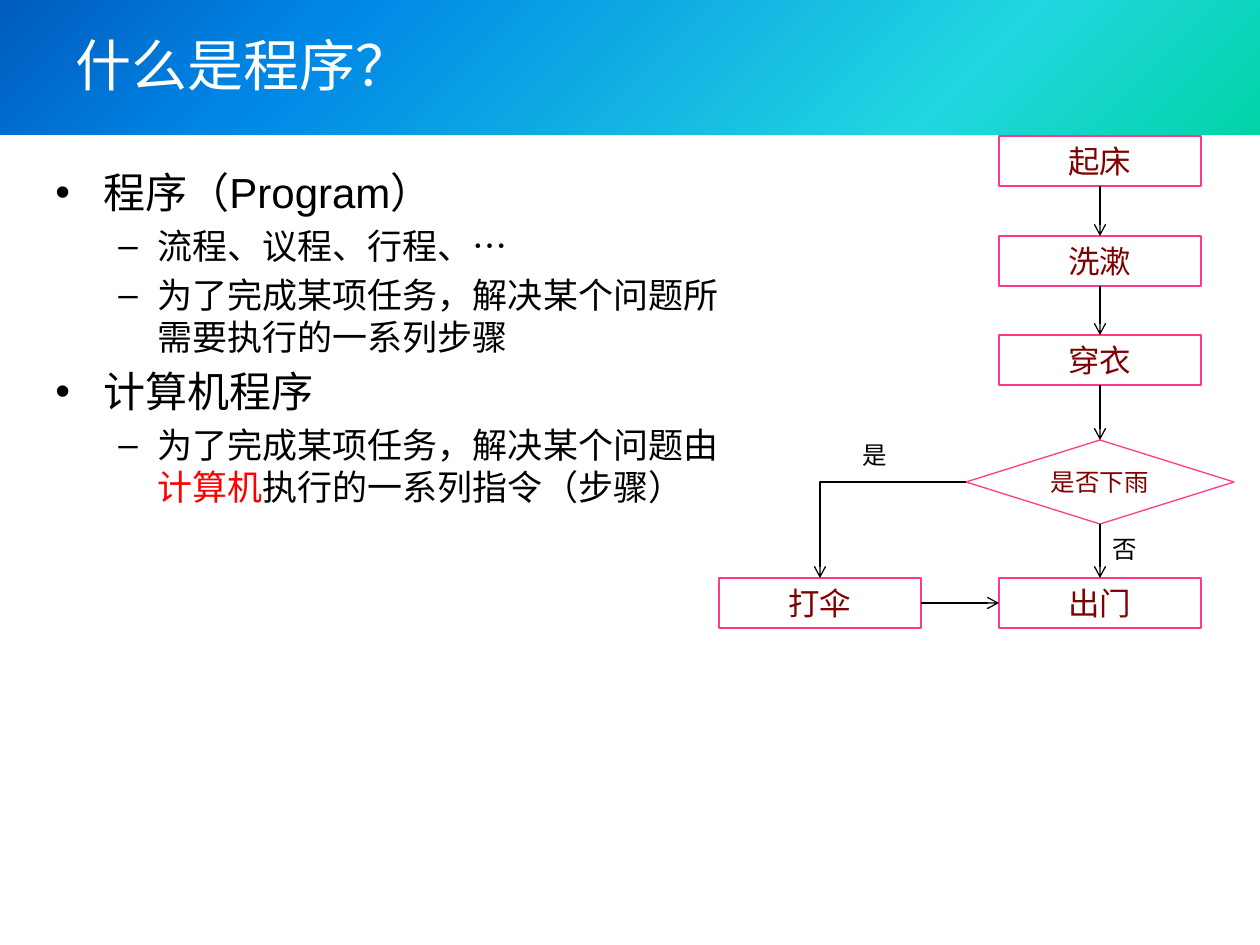
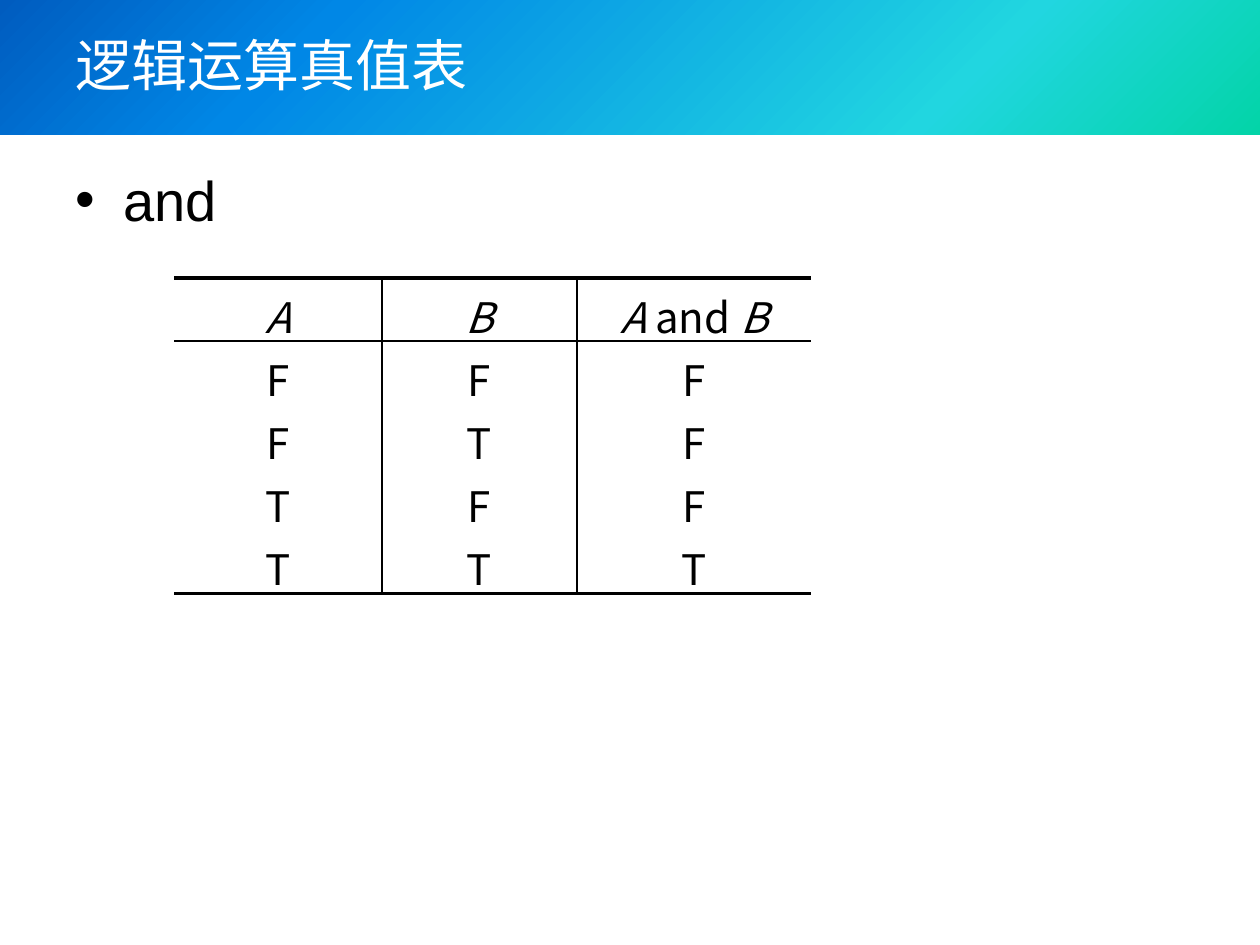
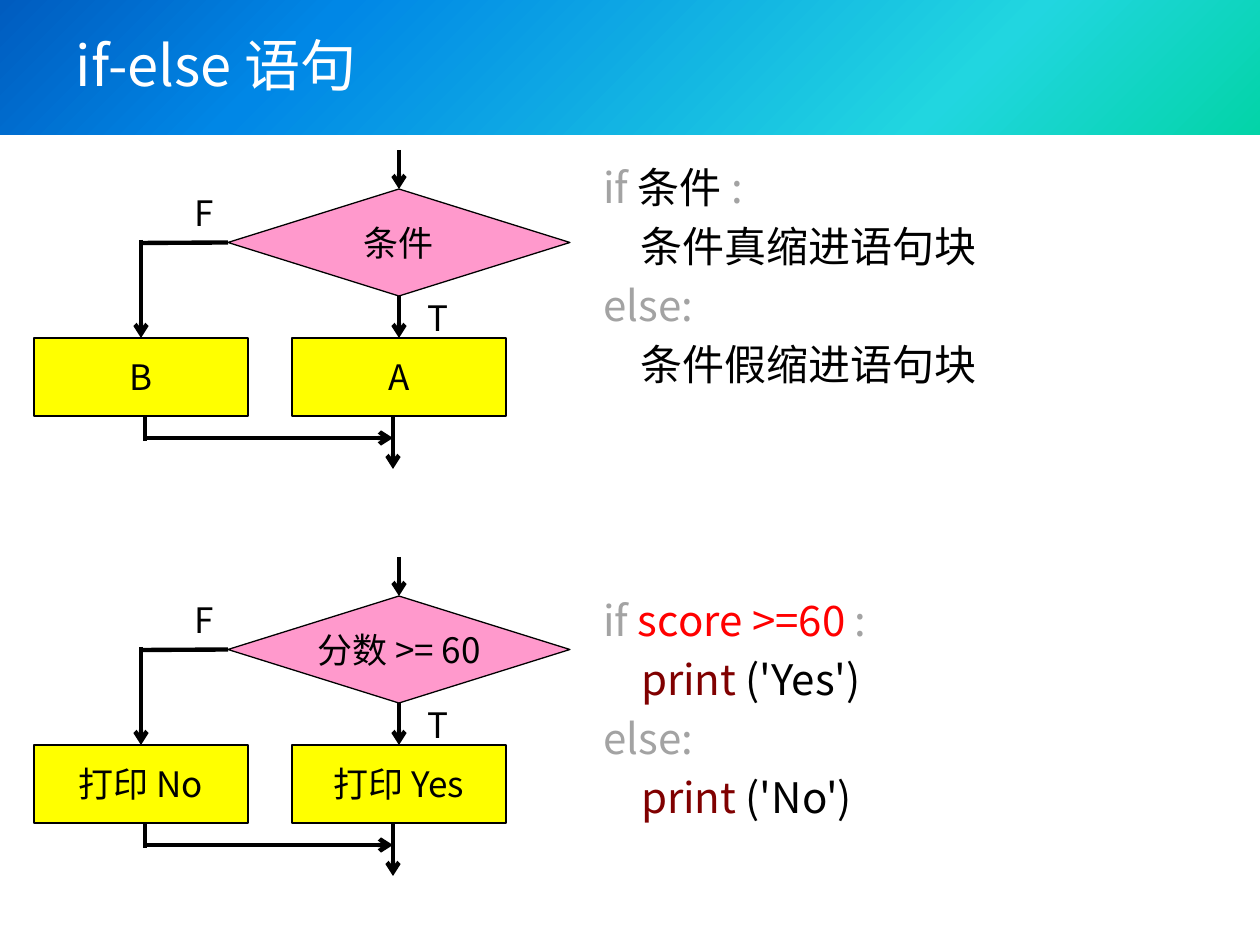
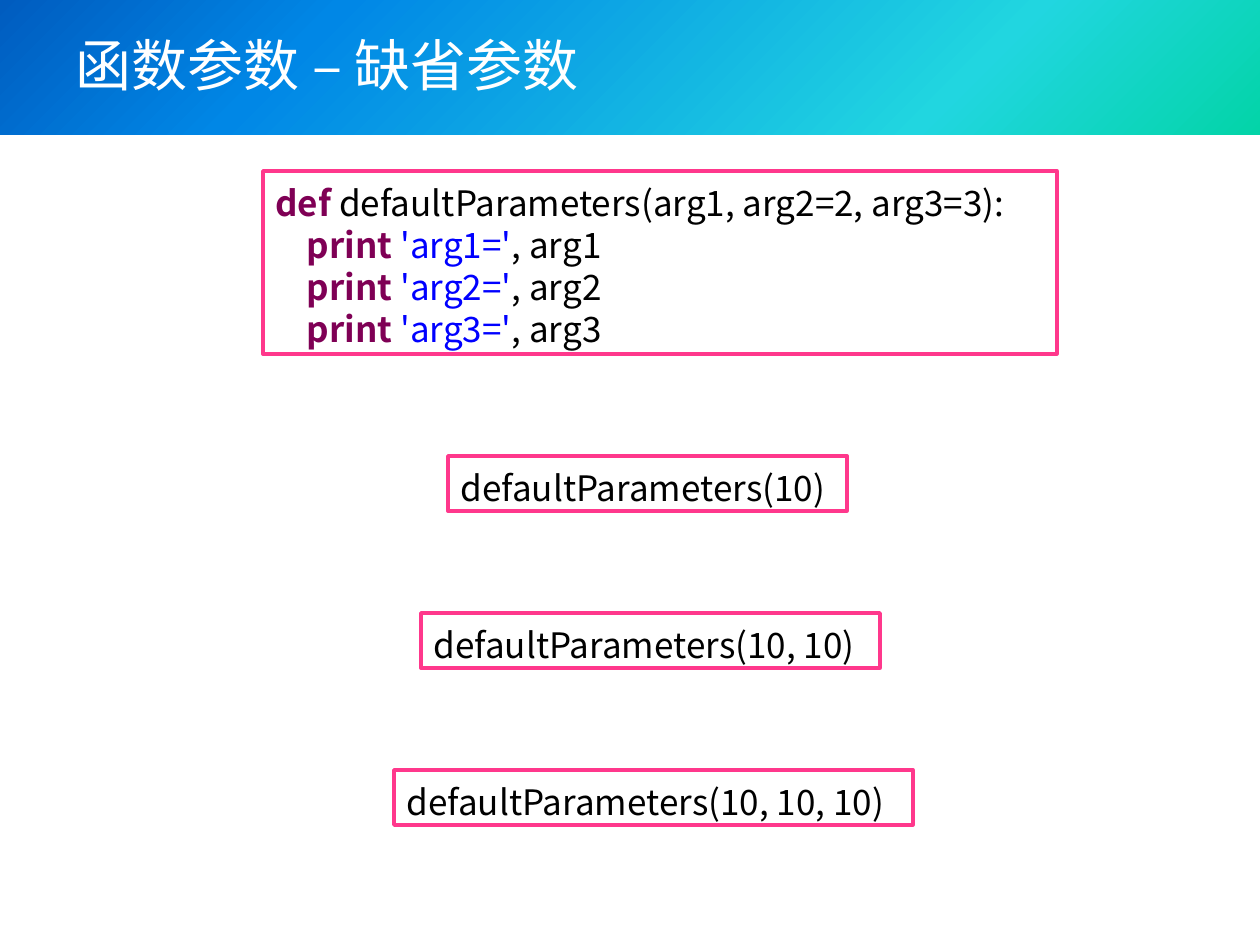
from lxml import etree
from pptx import Presentation
from pptx import oxml
from pptx import util as u
from pptx.dml.color import RGBColor
from pptx.enum import shapes, text
from pptx.oxml import ns

EMU_PER_PX = 914400 / 126
SANS, ARIAL = "Noto Sans CJK SC", "Arial"
COLOURS = {
    "black": "000000", "white": "FFFFFF", "red": "FF0000", "maroon": "800000",
    "grey": "A3A3A3", "pink": "FF388C", "rose": "FF99CC", "yellow": "FFFF00",
    "keyword": "7F0055", "string": "0000FF",
}
BAND_STOPS = [(0, "03D4A8"), (25, "21D6E0"), (75, "0087E6"), (100, "005CBF")]
BULLETS = [{"sign": "•", "margin": 48, "hang": 48},
           {"sign": "–", "margin": 102, "hang": 39}]
CENTER, LEFT = text.PP_ALIGN.CENTER, text.PP_ALIGN.LEFT
MIDDLE, TOP = text.MSO_ANCHOR.MIDDLE, text.MSO_ANCHOR.TOP
RECT, DIAMOND = shapes.MSO_SHAPE.RECTANGLE, shapes.MSO_SHAPE.DIAMOND
DECISION = shapes.MSO_SHAPE.FLOWCHART_DECISION
STRAIGHT, ELBOW = shapes.MSO_CONNECTOR.STRAIGHT, shapes.MSO_CONNECTOR.ELBOW
SIDE_TOP, SIDE_LEFT, SIDE_BOTTOM, SIDE_RIGHT = range(4)


# ---- shared helpers ----
def px(length):
    return u.Emu(round(length * EMU_PER_PX))


def pxs(*lengths):
    return [px(length) for length in lengths]


def rgb(name):
    return RGBColor.from_string(COLOURS[name])


def apply(target, **values):
    for name, value in values.items():
        setattr(target, name, value)


def add_run(paragraph, words, size, colour="black", latin=SANS, **style):
    run = paragraph.add_run()
    run.text = words
    apply(run.font, size=u.Pt(size), name=latin, **style)
    run.font.color.rgb = rgb(colour)
    etree.SubElement(run.font._element, ns.qn("a:ea"), typeface=SANS)


def add_bullet(paragraph, level):
    bullet = BULLETS[level]
    props = paragraph._p.get_or_add_pPr()
    props.set("marL", str(px(bullet["margin"])))
    props.set("indent", str(px(-bullet["hang"])))
    etree.SubElement(props, ns.qn("a:buFont"), typeface=ARIAL)
    etree.SubElement(props, ns.qn("a:buChar"), char=bullet["sign"])


def fill_lines(frame, lines, size, gap=0.0, latin=SANS):
    """Top-anchored lines; each is a list of (words, colour, bold) runs."""
    apply(frame, word_wrap=True, vertical_anchor=TOP, margin_top=px(10))
    for index, runs in enumerate(lines):
        line = frame.add_paragraph() if index else frame.paragraphs[0]
        apply(line, alignment=LEFT, line_spacing=u.Pt(size * 1.2))
        if index and gap:
            line.space_before = u.Pt(size * gap)
        for words, colour, *bold in runs:
            add_run(line, words, size, colour, latin, bold=bool(bold))


def fill_label(frame, words, size, colour="black", wrap=False):
    apply(frame, word_wrap=wrap, vertical_anchor=MIDDLE)
    frame.paragraphs[0].alignment = CENTER
    add_run(frame.paragraphs[0], words, size, colour)


def add_outline(parent, kind, box, line, width, fill=None):
    node = parent.add_shape(kind, *pxs(*box))
    node.shadow.inherit = False
    if fill:
        node.fill.solid()
        node.fill.fore_color.rgb = rgb(fill)
    else:
        node.fill.background()
    node.line.color.rgb = rgb(line)
    node.line.width = u.Pt(width)
    return node


def add_line(parent, start, end, width, arrow=True, kind=STRAIGHT, begin=None, finish=None):
    """begin and finish are (shape, side) joints."""
    link = parent.add_connector(kind, *pxs(*start, *end))
    if begin:
        link.begin_connect(*begin)
    if finish:
        link.end_connect(*finish)
    link.line.color.rgb = rgb("black")
    link.line.width = u.Pt(width)
    props = link.element.spPr
    if kind == ELBOW:
        props.find(ns.qn("a:prstGeom")).set("prst", "bentConnector2")
    if arrow:
        etree.SubElement(props.find(ns.qn("a:ln")), ns.qn("a:tailEnd"), type="arrow")
    etree.SubElement(props, ns.qn("a:effectLst"))


def add_band(layout, slide):
    """Draw the title band and hand it to the shared layout."""
    band = slide.shapes.add_shape(RECT, *pxs(0, 0, 1260, 135))
    band.shadow.inherit = False
    band.line.fill.background()
    stops = "".join(f'<a:gs pos="{place * 1000}"><a:srgbClr val="{colour}"/></a:gs>'
                    for place, colour in BAND_STOPS)
    gradient = oxml.parse_xml(
        f'<a:gradFill {ns.nsdecls("a")} rotWithShape="1"><a:gsLst>{stops}</a:gsLst>'
        '<a:path path="circle"><a:fillToRect l="100000" t="100000"/></a:path></a:gradFill>')
    band.element.spPr.find(ns.qn("a:prstGeom")).addnext(gradient)
    layout.shapes.element.insert(2, band.element)


def add_slide(prs, heading):
    layout = prs.slide_layouts[5]
    slide = prs.slides.add_slide(layout)
    if len(prs.slides) == 1:
        add_band(layout, slide)
    title = slide.shapes.title
    left, top, width, height = pxs(63, 16, 1134, 97)
    apply(title, left=left, top=top, width=width, height=height)
    apply(title.text_frame, vertical_anchor=MIDDLE, word_wrap=True,
          auto_size=text.MSO_AUTO_SIZE.NONE)
    title.text_frame.paragraphs[0].alignment = LEFT
    add_run(title.text_frame.paragraphs[0], heading, 32, "white")
    return slide


def add_bullets(slide, box, items):
    """items are (level, size, runs)."""
    frame = slide.shapes.add_textbox(*pxs(*box)).text_frame
    apply(frame, word_wrap=True, margin_top=px(10))
    for index, (level, size, runs) in enumerate(items):
        item = frame.add_paragraph() if index else frame.paragraphs[0]
        item.line_spacing = u.Pt(size * 1.2)
        if index:
            item.space_before = u.Pt(size * 0.2)
        add_bullet(item, level)
        for words, colour in runs:
            add_run(item, words, size, colour, ARIAL)


def add_code(slide, box, lines):
    fill_lines(slide.shapes.add_textbox(*pxs(*box)).text_frame, lines, 24, 0.2)


# ---- slide 1: what a program is ----
def add_morning_flow(slide, left, top):
    parent = slide.shapes
    width, height, axis = 202, 50, 381

    def step(words, x, y):
        node = add_outline(parent, RECT, (left + x, top + y, width, height), "pink", 0.75)
        fill_label(node.text_frame, words, 18, "maroon", wrap=True)
        return node

    def join(begin, finish, kind=STRAIGHT, start=(0, 0), end=(0, 0)):
        add_line(parent, start, end, 0.75, kind=kind, begin=begin, finish=finish)

    column = axis - width // 2
    get_up, wash, dress = [step(words, column, round(row * 99.5))
                           for row, words in enumerate(["起床", "洗漱", "穿衣"])]
    go_out, umbrella = step("出门", column, 442), step("打伞", 0, 442)
    rain = add_outline(parent, DIAMOND, (left + axis - 134, top + 304, 268, 84), "pink", 0.75)
    fill_label(rain.text_frame, "是否下雨", 14, "maroon", wrap=True)

    for upper, lower in [(get_up, wash), (wash, dress), (dress, rain), (rain, go_out)]:
        join((upper, SIDE_BOTTOM), (lower, SIDE_TOP))
    join((umbrella, SIDE_RIGHT), (go_out, SIDE_LEFT))
    join((rain, SIDE_LEFT), (umbrella, SIDE_TOP), ELBOW,
         (left + axis - 134, top + 346), (left + width // 2, top + 442))

    for answer, x, y in [("是", 131, 294), ("否", axis, 388)]:
        label = parent.add_textbox(*pxs(left + x, top + y, 50, 43))
        fill_lines(label.text_frame, [[(answer, "black")]], 14)


def build_program(prs):
    slide = add_slide(prs, "什么是程序？")
    add_bullets(slide, (43, 157, 697, 683), [
        (0, 24, [("程序（Program）", "black")]),
        (1, 20, [("流程、议程、行程、…", "black")]),
        (1, 20, [("为了完成某项任务，解决某个问题所需要执行的一系列步骤", "black")]),
        (0, 24, [("计算机程序", "black")]),
        (1, 20, [("为了完成某项任务，解决某个问题由", "black"), ("计算机", "red"),
                 ("执行的一系列指令（步骤）", "black")]),
    ])
    add_morning_flow(slide, 719, 136)


# ---- slide 2: truth table ----
def set_borders(cell, **widths):
    props = cell._tc.get_or_add_tcPr()
    for side in "LRTB":
        width = widths.get(side, 0)
        edge = etree.SubElement(props, ns.qn(f"a:ln{side}"), w=str(u.Pt(width)))
        if width:
            paint = etree.SubElement(edge, ns.qn("a:solidFill"))
            etree.SubElement(paint, ns.qn("a:srgbClr"), val=COLOURS["black"])
        else:
            etree.SubElement(edge, ns.qn("a:noFill"))


def add_truth_table(slide, left, top):
    heads = [[("A", True)], [("B", True)], [("A ", True), ("and ", False), ("B", True)]]
    rows = [heads] + [[[(value, False)] for value in values]
                      for values in ("FFF", "FTF", "TFF", "TTT")]
    widths, row_height = [208, 195, 234], 63
    table = slide.shapes.add_table(len(rows), len(widths), *pxs(
        left, top, sum(widths), row_height * len(rows))).table
    apply(table, first_row=False, horz_banding=False)
    for column, width in zip(table.columns, widths):
        column.width = px(width)
    last_row, last_column = len(rows) - 1, len(widths) - 1
    for r, row in enumerate(rows):
        for c, runs in enumerate(row):
            cell = table.cell(r, c)
            paragraph = cell.text_frame.paragraphs[0]
            paragraph.alignment = CENTER
            for words, italic in runs:
                add_run(paragraph, words, 24, italic=italic, bold=False)
            set_borders(cell, L=int(c > 0), R=int(c < last_column),
                        T={0: 2.25, 1: 1}.get(r, 0), B={0: 1, last_row: 2.25}.get(r, 0))
            cell.fill.background()


def build_truth_table(prs):
    slide = add_slide(prs, "逻辑运算真值表")
    add_bullets(slide, (63, 155, 1134, 689), [(0, 32, [("and", "black")])])
    add_truth_table(slide, 174, 278)


# ---- slide 3: if-else ----
def add_branch_flow(slide, left, top, condition, true_step, false_step):
    parent = slide.shapes.add_group_shape().shapes
    axis, side_axis, exit_x, merge_y = 365, 107, 359, 288

    def node(kind, words, fill, x, y, width, height):
        shape = add_outline(parent, kind, (left + x, top + y, width, height),
                            "black", 0.75, fill)
        fill_label(shape.text_frame, words, 20)
        return shape

    def line(start, end, **options):
        add_line(parent, (left + start[0], top + start[1]),
                 (left + end[0], top + end[1]), 2.5, **options)

    test = node(DECISION, condition, "rose", 194, 39, 342, 107)
    yes = node(RECT, true_step, "yellow", 258, 188, 214, 78)
    no = node(RECT, false_step, "yellow", 0, 188, 214, 78)

    # into the test and out to both branches
    line((axis, 0), (axis, 39), finish=(test, SIDE_TOP))
    line((axis, 146), (axis, 188), begin=(test, SIDE_BOTTOM), finish=(yes, SIDE_TOP))
    line((194, 92), (side_axis, 93), arrow=False, begin=(test, SIDE_LEFT))
    line((side_axis, 90), (side_axis, 188), finish=(no, SIDE_TOP))
    # branches meet again
    line((exit_x, 266), (exit_x, 319))
    line((111, 266), (111, merge_y + 3), arrow=False)
    line((111, merge_y), (exit_x, merge_y))

    for answer, x, y in [("F", 129, 29), ("T", 363, 134)]:
        frame = parent.add_textbox(*pxs(left + x, top + y, 82, 58)).text_frame
        apply(frame, margin_left=px(3), margin_top=px(10),
              margin_right=px(3), margin_bottom=px(1))
        fill_label(frame, answer, 20, wrap=True)


def build_if_else(prs):
    slide = add_slide(prs, "if-else 语句")
    add_branch_flow(slide, 34, 150, "条件", "A", "B")
    add_branch_flow(slide, 34, 557, "分数 >= 60", "打印 Yes", "打印 No")
    otherwise = [("else:", "grey")]
    add_code(slide, (591, 152, 617, 318), [
        [("if ", "grey"), ("条件 ", "black"), (":", "grey")],
        [("    条件真缩进语句块", "black")],
        otherwise,
        [("    条件假缩进语句块", "black")],
    ])

    def show(word):
        return [("    ", "black"), ("print", "maroon"), (f" ('{word}')", "black")]

    add_code(slide, (591, 585, 357, 341), [
        [("if", "grey"), (" score >=60 ", "red"), (":", "grey")],
        show("Yes"), otherwise, show("No"),
    ])


# ---- slide 4: default parameters ----
def add_framed_code(slide, box, lines):
    frame = add_outline(slide.shapes, RECT, box, "pink", 2).text_frame
    fill_lines(frame, lines, 20)


def build_default_parameters(prs):
    slide = add_slide(prs, "函数参数 – 缺省参数")
    definition = [[("def ", "keyword", True),
                   ("defaultParameters(arg1, arg2=2, arg3=3):", "black")]]
    for name in ("arg1", "arg2", "arg3"):
        definition.append([("    ", "black"), ("print ", "keyword", True),
                           (f"'{name}='", "string"), (f", {name}", "black")])
    add_framed_code(slide, (263, 171, 794, 183), definition)
    for index in range(3):
        arguments = ", ".join(["10"] * (index + 1))
        add_framed_code(slide, (448 - 27 * index, 456 + 157 * index, 399 + 60 * index, 55),
                        [[(f"defaultParameters({arguments})", "black")]])


def main():
    prs = Presentation()
    apply(prs, slide_width=px(1260), slide_height=px(945))
    for build in (build_program, build_truth_table, build_if_else, build_default_parameters):
        build(prs)
    prs.save("out.pptx")


if __name__ == "__main__":
    main()
